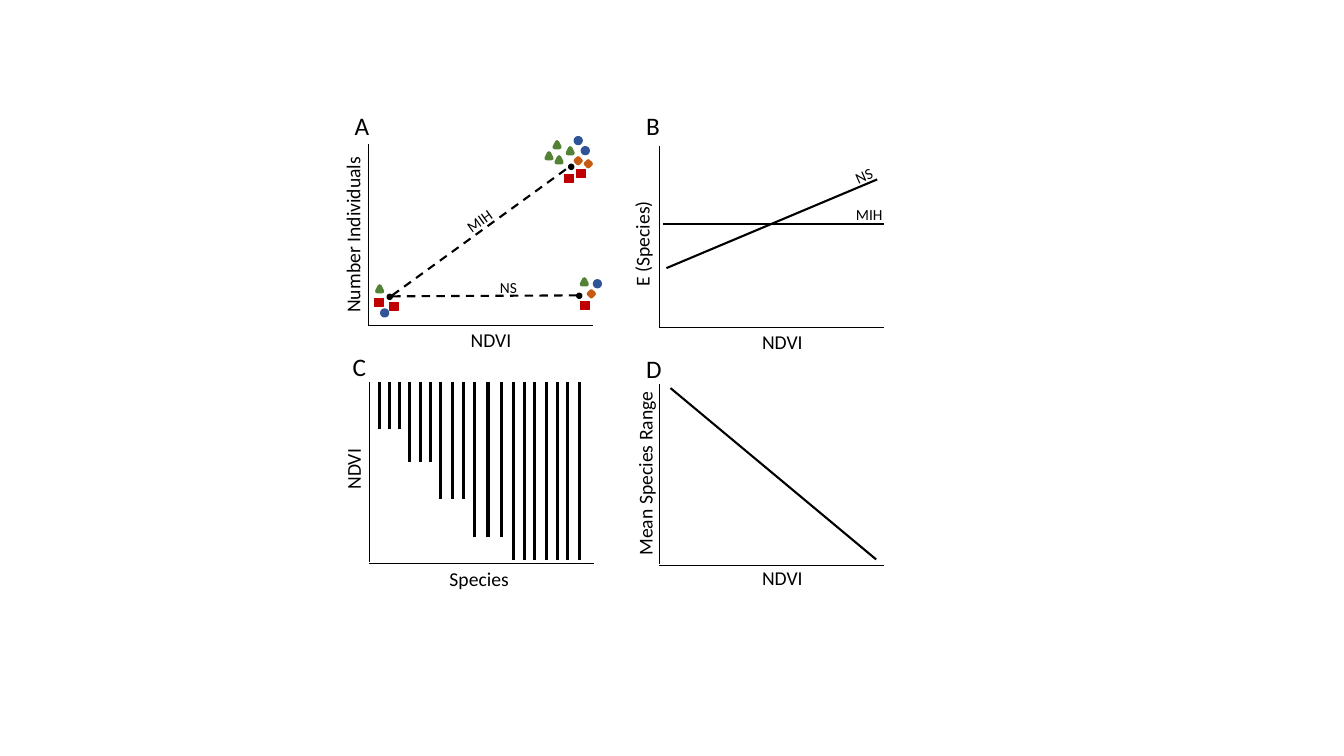
import lxml.etree
import pptx
import pptx.dml.color
import pptx.enum.dml
import pptx.enum.shapes
import pptx.enum.text
import pptx.oxml.ns
import pptx.util

PX = 9144
SHAPE = pptx.enum.shapes.MSO_SHAPE
COLORS = {
    "black": "000000",
    "blue": "2F5597",
    "green": "548235",
    "orange": "C55A11",
    "red": "C00000",
}
MARKERS = {
    "mean": (SHAPE.FLOWCHART_CONNECTOR, "black", 5, 5, 1),
    "circle": (SHAPE.OVAL, "blue", 5, 5, 3),
    "triangle": (SHAPE.ISOSCELES_TRIANGLE, "green", 5, 5, 3),
    "diamond": (SHAPE.DIAMOND, "orange", 5, 5, 3),
    "square": (SHAPE.RECTANGLE, "red", 9, 8, 0.5),
}
INDIVIDUALS = {
    "mean": [(572, 291), (384, 292), (564, 163)],
    "circle": [(379, 308), (578, 147), (590, 279), (571, 137)],
    "triangle": [(374, 284), (563, 147), (552, 156), (577, 277), (550, 141), (542, 152)],
    "diamond": [(571, 157), (584, 289), (581, 160)],
    "square": [(371, 296), (386, 300), (572, 168), (560, 173), (576, 299)],
}
SPECIES_RANGES = {
    426: [376, 386, 396],
    458: [406, 417, 427],
    495: [437, 449, 460],
    533: [471, 484, 497],
    556: [509, 520, 530, 542, 553, 563, 575],
}


def px(*values):
    return [pptx.util.Emu(v * PX) for v in values]


def rgb(name):
    return pptx.dml.color.RGBColor.from_string(COLORS[name])


def add_text(s, text, x, y, w, h, size=14, rotation=0, color="black", font="Calibri"):
    sp = s.shapes.add_textbox(*px(x, y, w, h))
    sp.rotation = rotation
    tf = sp.text_frame
    tf.word_wrap = True
    tf.auto_size = pptx.enum.text.MSO_AUTO_SIZE.SHAPE_TO_FIT_TEXT
    r = tf.paragraphs[0].add_run()
    r.text = text
    r.font.name = font
    r.font.size = pptx.util.Pt(size)
    r.font.color.rgb = rgb(color)


def add_line(s, x1, y1, x2, y2, width=1.5, dashed=False):
    cxn = s.shapes.add_connector(
        pptx.enum.shapes.MSO_CONNECTOR.STRAIGHT, *px(x1, y1, x2, y2)
    )
    cxn.line.color.rgb = rgb("black")
    cxn.line.width = pptx.util.Pt(width)
    if dashed:
        cxn.line.dash_style = pptx.enum.dml.MSO_LINE.DASH
    lxml.etree.SubElement(cxn.element.spPr, pptx.oxml.ns.qn("a:effectLst"))


def add_marker(s, kind, x, y):
    preset, color, w, h, width = MARKERS[kind]
    sp = s.shapes.add_shape(preset, *px(x, y, w, h))
    sp.shadow.inherit = False
    sp.fill.solid()
    sp.fill.fore_color.rgb = rgb(color)
    sp.line.color.rgb = rgb(color)
    sp.line.width = pptx.util.Pt(width)


def add_axes(s, x, y):
    add_line(s, x, y, x, y + 179, width=0.5)
    add_line(s, x, y + 180, x + 223, y + 180, width=0.5)


def add_individuals_panel(s):
    add_text(s, "A", 342, 105, 36, 40, size=18)
    add_axes(s, 365, 143)
    add_text(s, "Number Individuals", 260, 213, 180, 34, rotation=270)
    add_text(s, "NDVI", 457, 320, 84, 34)
    add_line(s, 389, 294, 578, 293, dashed=True)
    add_line(s, 389, 293, 564, 166, dashed=True)
    add_text(s, "MIH", 452, 203, 51, 29, size=11, rotation=324.3)
    add_text(s, "NS", 486, 271, 39, 29, size=11)
    for kind, places in INDIVIDUALS.items():
        for x, y in places:
            add_marker(s, kind, x, y)


def add_expected_species_panel(s):
    add_text(s, "B", 631, 105, 36, 40, size=18)
    add_axes(s, 654, 145)
    add_text(s, "E (Species)", 573, 213, 128, 34, rotation=270)
    add_text(s, "NDVI", 746, 322, 84, 34)
    add_line(s, 658, 222, 877, 222)
    add_line(s, 661, 266, 870, 178)
    add_text(s, "MIH", 839, 199, 51, 29, size=11)
    add_text(s, "NS", 838, 157, 51, 29, size=11, rotation=336.2)


def add_species_ranges_panel(s):
    add_text(s, "C", 340, 344, 26, 40, size=18)
    add_axes(s, 366, 379)
    add_text(s, "NDVI", 316, 444, 69, 34, rotation=270)
    add_text(s, "Species", 436, 558, 84, 34)
    for bottom, columns in SPECIES_RANGES.items():
        for x in columns:
            add_line(s, x, bottom, x, 379, width=2.25)


def add_mean_range_panel(s):
    add_text(s, "D", 631, 346, 36, 40, size=18)
    add_axes(s, 654, 381)
    add_text(s, "Mean Species Range", 544, 448, 192, 34, rotation=270)
    add_text(s, "NDVI", 746, 557, 84, 34)
    add_line(s, 665, 385, 869, 555)


def main():
    prs = pptx.Presentation()
    prs.slide_width, prs.slide_height = px(1333, 750)
    s = prs.slides.add_slide(prs.slide_layouts.get_by_name("Blank"))
    add_individuals_panel(s)
    add_expected_species_panel(s)
    add_species_ranges_panel(s)
    add_mean_range_panel(s)
    prs.save("out.pptx")


if __name__ == "__main__":
    main()
